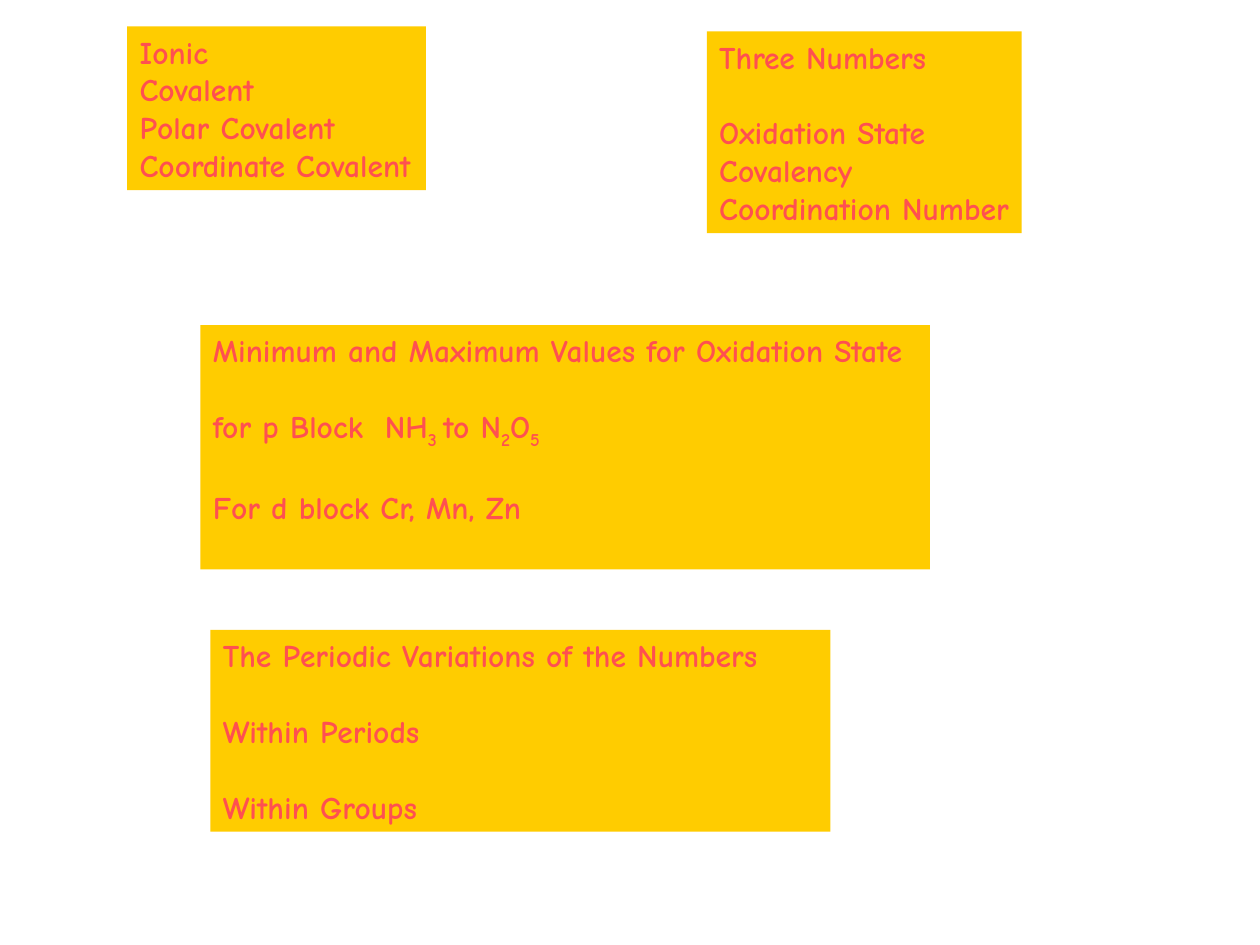
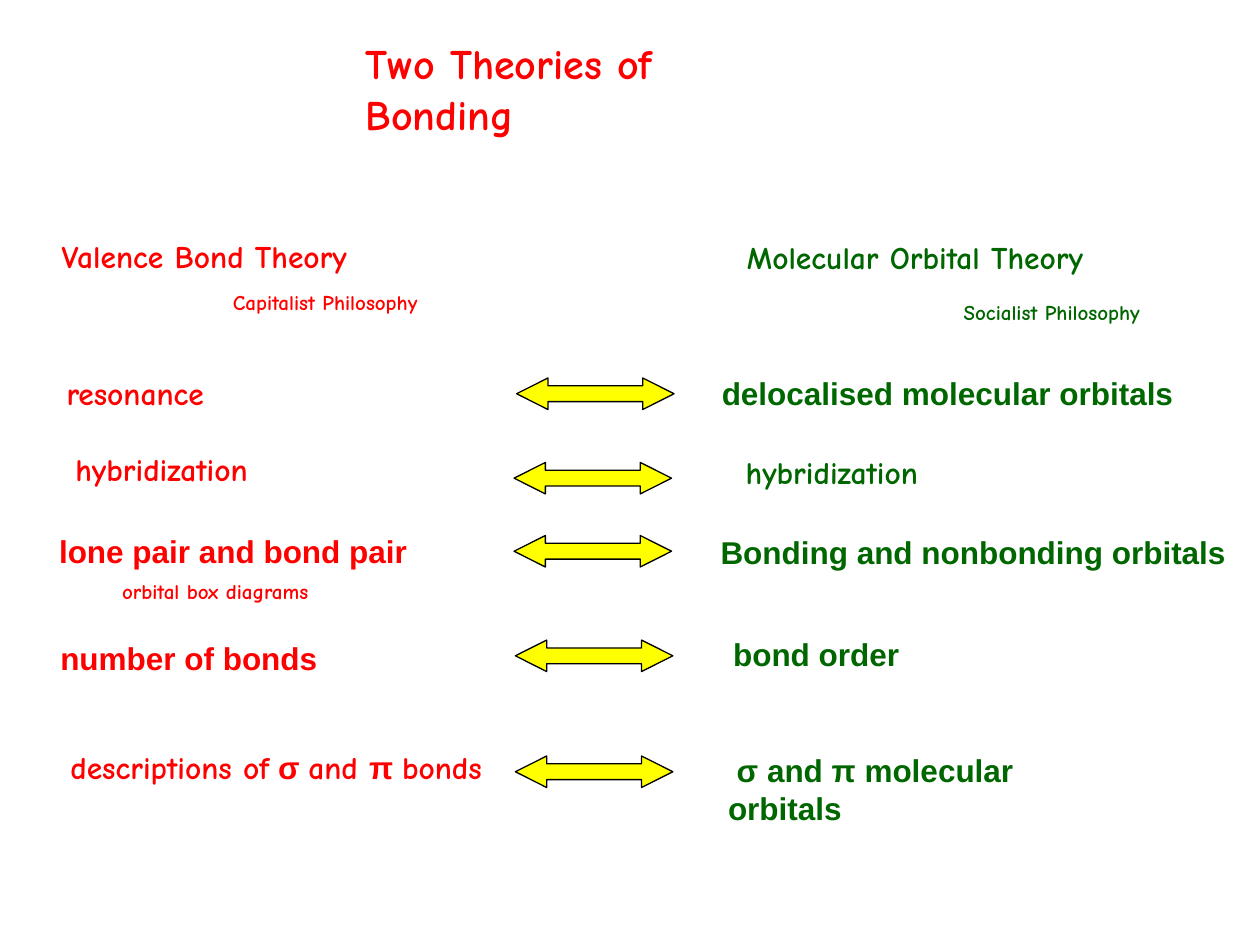
from pptx import Presentation
from pptx.dml.color import RGBColor
from pptx.enum.shapes import MSO_SHAPE
from pptx.enum.text import MSO_ANCHOR, MSO_AUTO_SIZE, PP_ALIGN
from pptx.util import Inches, Pt

RECT = MSO_SHAPE.RECTANGLE
ARROW = MSO_SHAPE.LEFT_RIGHT_ARROW
LEFT, TOP, FIXED = PP_ALIGN.LEFT, MSO_ANCHOR.TOP, MSO_AUTO_SIZE.NONE
COMIC, ARIAL = "Comic Neue", "Arial"
GOLD, CORAL, RED, GREEN = "FFCC00", "FF5050", "FF0000", "006600"
YELLOW, BLACK = "FFFF00", "000000"
COLS, ROWS = 100, 75
TITLE_ONLY, BLANK = 5, 6
LINE = 21.7


def color(hex):
    """Turn a hex string into a colour."""
    return RGBColor.from_string(hex)


def write(par, text, font=COMIC, size=18, ink=RED, drop=0, track=0):
    """Add one formatted run to a paragraph."""
    run = par.add_run()
    run.text = text
    face = run.font
    face.name, face.size, face.bold = font, Pt(size), True
    face.color.rgb = color(ink)
    props = face._element
    if drop:
        props.set("baseline", str(-1000 * drop))
    if track:
        props.set("spc", str(100 * track))


class Deck:
    """Hold the style and the current slide."""

    def __init__(self):
        """Start an empty deck."""
        self.file = Presentation()
        self.file.slide_width, self.file.slide_height = Inches(10), Inches(7.5)
        self.cell = self.file.slide_width / COLS, self.file.slide_height / ROWS

    def page(self, kind):
        """Open a new slide."""
        self.slide = self.file.slides.add_slide(self.file.slide_layouts[kind])

    def place(self, *spot):
        """Turn columns and rows into slide lengths."""
        return [round(n * self.cell[i % 2]) for i, n in enumerate(spot)]

    def fill(self, shape, lines, wrap=False, gaps=(), **style):
        """Fill a shape with lines of runs; gaps maps a line to space before."""
        frame = shape.text_frame
        frame.word_wrap, frame.auto_size = wrap, FIXED
        frame.vertical_anchor = TOP
        for i, line in enumerate(lines):
            par = frame.add_paragraph() if i else frame.paragraphs[0]
            par.alignment = LEFT
            par.space_before = Pt(dict(gaps).get(i, 0))
            for text, extra in [(line, {})] if isinstance(line, str) else line:
                write(par, text, **{**style, **extra})

    def title(self, spot, text, **style):
        """Move and format the title."""
        shape = self.slide.shapes.title
        shape.left, shape.top, shape.width, shape.height = self.place(*spot)
        self.fill(shape, [text], **style)

    def label(self, spot, *lines, **style):
        """Add a plain text box."""
        self.fill(self.slide.shapes.add_textbox(*self.place(*spot)), lines, **style)

    def shape(self, kind, spot, paint):
        """Add a flat filled shape without a line."""
        shape = self.slide.shapes.add_shape(kind, *self.place(*spot))
        shape.shadow.inherit = False
        shape.fill.solid()
        shape.fill.fore_color.rgb = color(paint)
        shape.line.fill.background()
        return shape

    def panel(self, spot, *lines, **style):
        """Add a gold panel of text."""
        self.fill(self.shape(RECT, spot, GOLD), lines, ink=CORAL, **style)

    def arrow(self, left, top):
        """Add a two-way arrow."""
        shape = self.shape(ARROW, (left, top, 12.5, 2.5), YELLOW)
        shape.adjustments[0], shape.adjustments[1] = 0.5, 0.995
        shape.line.color.rgb = color(BLACK)
        shape.line.width = Pt(0.75)


def numbers(deck):
    """Build the slide on bond types and numbers."""
    deck.page(BLANK)
    deck.panel((10.1, 2.1, 23.7, 13), "Ionic", "Covalent", "Polar Covalent",
               "Coordinate Covalent")
    deck.panel((56.1, 2.5, 25, 16), "Three Numbers", "Oxidation State",
               "Covalency", "Coordination Number", gaps={1: LINE})
    sub = {"drop": 25}
    block = [("for p Block", {}), (" ", {"track": 6}), ("NH", {}), ("3 ", sub),
             ("to N", {}), ("2", sub), ("O", {}), ("5", sub)]
    deck.panel((15.9, 25.8, 57.9, 19.4),
               "Minimum and Maximum Values for Oxidation State", block,
               "For d block Cr, Mn, Zn", wrap=True, gaps={1: LINE, 2: LINE})
    deck.panel((16.7, 50, 49.2, 16), "The Periodic Variations of the Numbers",
               "Within Periods", "Within Groups", wrap=True,
               gaps={1: LINE, 2: LINE})


def theories(deck):
    """Build the slide that compares two theories."""
    deck.page(TITLE_ONLY)
    deck.title((28, 2.5, 37.7, 5), "Two Theories of Bonding", size=24)
    greek = {"font": ARIAL}
    bonds = [("descriptions of", {}), (" σ ", greek), ("and ", {}),
             ("π ", greek), ("bonds", {})]
    pairs = [
        (RED, COMIC, 3.9, 18.3, 24.7, "Valence Bond Theory"),
        (GREEN, COMIC, 58.3, 18.4, 28.7, "Molecular Orbital Theory"),
        (RED, COMIC, 4.3, 29.2, 13.8, "resonance"),
        (GREEN, ARIAL, 56.3, 29.2, 38.5, "delocalised molecular orbitals"),
        (RED, COMIC, 5, 35.2, 16.6, "hybridization"),
        (GREEN, COMIC, 58.2, 35.5, 16.6, "hybridization"),
        (GREEN, ARIAL, 56.2, 41.8, 42.1, "Bonding and nonbonding orbitals"),
        (RED, ARIAL, 3.8, 50.2, 23.1, "number of bonds"),
        (GREEN, ARIAL, 57.2, 49.9, 15.9, "bond order"),
        (RED, COMIC, 4.6, 58.9, 35.1, bonds),
    ]
    for ink, font, left, top, width, text in pairs:
        deck.label((left, top, width, 4), text, ink=ink, font=font)
    deck.label((17.5, 22.5, 16.7, 3), "Capitalist Philosophy", size=12)
    deck.label((75.5, 23.3, 16, 3), "Socialist Philosophy", size=12, ink=GREEN)
    deck.label((3.7, 41.7, 30.8, 7), "lone pair and bond pair",
               [("\torbital box diagrams", {"font": COMIC, "size": 12})],
               font=ARIAL, wrap=True, gaps={1: 5.5})
    deck.label((56.8, 59.1, 33, 7), " σ and π molecular orbitals",
               font=ARIAL, ink=GREEN, wrap=True)
    for left, top in [(41, 30), (40.8, 36.7), (40.8, 42.5), (40.9, 50.8), (40.9, 60)]:
        deck.arrow(left, top)


def main():
    """Build and save the deck."""
    deck = Deck()
    numbers(deck)
    theories(deck)
    deck.file.save("out.pptx")


if __name__ == "__main__":
    main()
